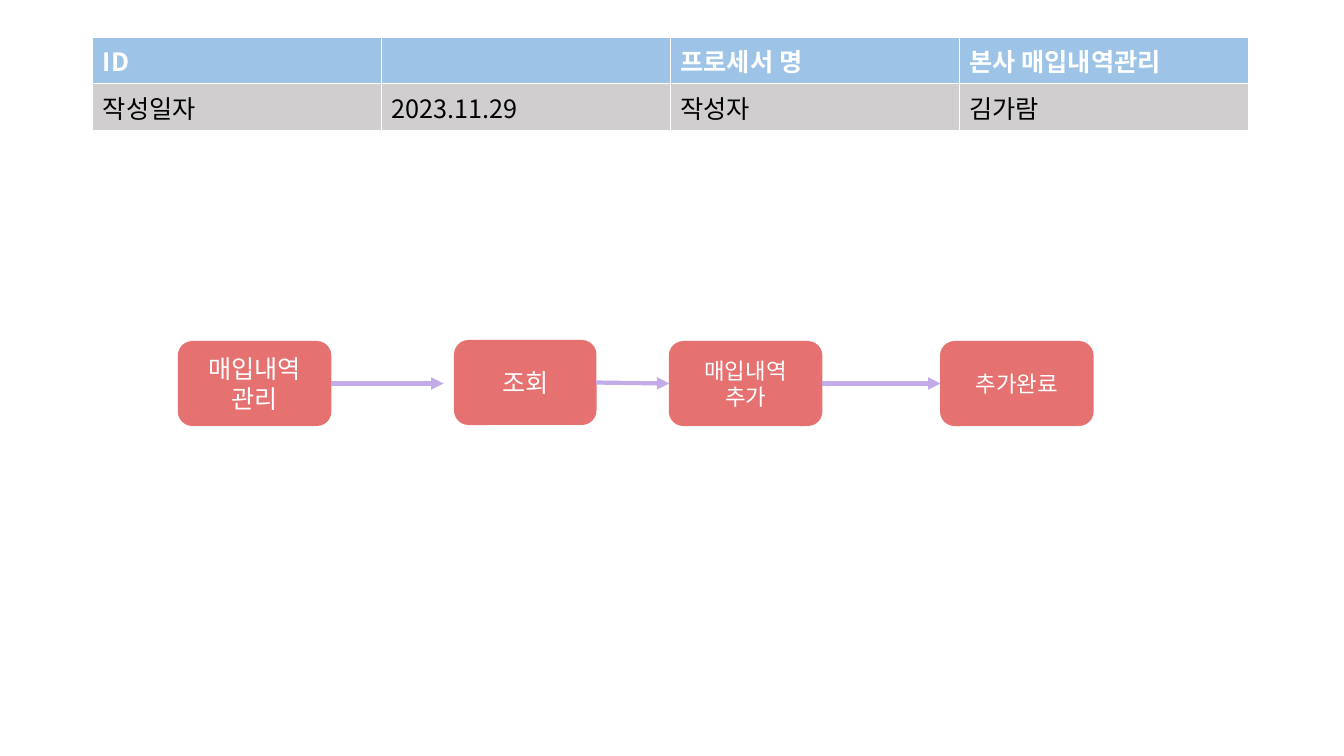
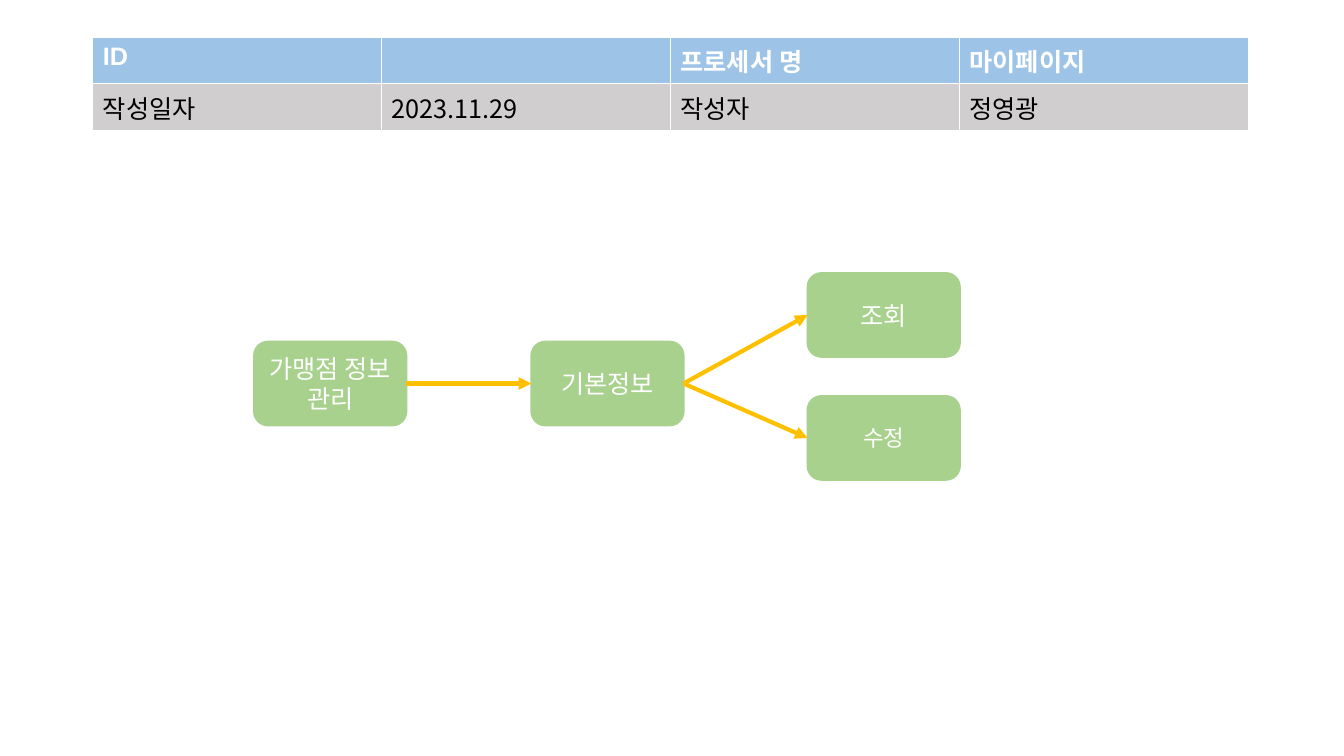
"""Build two process-flow slides, each with a header table and a row of linked steps."""
from lxml import etree
from pptx import Presentation
from pptx.dml.color import RGBColor
from pptx.enum.shapes import MSO_CONNECTOR, MSO_SHAPE
from pptx.enum.text import MSO_ANCHOR, PP_ALIGN
from pptx.oxml.ns import qn
from pptx.util import Inches, Pt

KOREAN, LATIN = "Noto Sans CJK KR", "Arial"
WHITE, BLACK = "FFFFFF", "000000"
TABLE_ROWS = [("9DC3E6", WHITE, True, 0.43), ("D0CECE", BLACK, False, 0.41)]
TABLE_LEFT, TABLE_TOP, TABLE_WIDTH = 0.92, 0.37, 11.46
STEP_WIDTH, STEP_HEIGHT = 1.51, 0.83
LEFT_SITE, RIGHT_SITE = 1, 3

SLIDES = [
    {
        "font": KOREAN, "fill": "E57171", "arrow": "C3AAE8", "outline": 1,
        "table": [["ID", "", "프로세서 명", "본사 매입내역관리"],
                  ["작성일자", "2023.11.29", "작성자", "김가람"]],
        "steps": [("매입내역\n관리", 1.77, 3.39, STEP_WIDTH, 18),
                  ("조회", 4.51, 3.38, 1.4, 18),
                  ("매입내역\n추가", 6.64, 3.39, STEP_WIDTH, 16),
                  ("추가완료", 9.33, 3.39, STEP_WIDTH, 16)],
        "links": [(0, 1, 0.11), (1, 2, 0), (2, 3, 0)],
    },
    {
        "font": LATIN, "fill": "A9D18E", "arrow": "FFC000", "outline": 1.5,
        "table": [["ID", "", "프로세서 명", "마이페이지"],
                  ["작성일자", "2023.11.29", "작성자", "정영광"]],
        "steps": [("가맹점 정보 관리", 2.52, 3.39, STEP_WIDTH, 18),
                  ("기본정보", 5.27, 3.39, STEP_WIDTH, 18),
                  ("조회", 8.01, 2.71, STEP_WIDTH, 18),
                  ("수정", 8.01, 3.93, STEP_WIDTH, 16)],
        "links": [(0, 1, 0), (1, 2, 0), (1, 3, 0)],
    },
]


def color(value):
    return RGBColor.from_string(value)


def format_text(text_frame, font_name, size, text_color, bold=False, align=None):
    for paragraph in text_frame.paragraphs:
        paragraph.alignment = align
        for run in paragraph.runs:
            font = run.font
            font.name, font.size, font.bold = font_name, Pt(size), bold
            font.color.rgb = color(text_color)
            etree.SubElement(font._element, qn("a:ea"), typeface=KOREAN)


def add_header_table(slide, rows, font_name):
    heights = [row[-1] for row in TABLE_ROWS]
    table = slide.shapes.add_table(
        len(rows), len(rows[0]), Inches(TABLE_LEFT), Inches(TABLE_TOP),
        Inches(TABLE_WIDTH), Inches(sum(heights))).table
    for r, (texts, (fill, text_color, bold, height)) in enumerate(zip(rows, TABLE_ROWS)):
        table.rows[r].height = Inches(height)
        for c, text in enumerate(texts):
            cell = table.cell(r, c)
            cell.fill.solid()
            cell.fill.fore_color.rgb = color(fill)
            cell.text_frame.text = text
            cell_font = KOREAN if text[:1].isdigit() else font_name
            format_text(cell.text_frame, cell_font, 18, text_color, bold)


def add_step(slide, step, style):
    text, left, top, width, size = step
    shape = slide.shapes.add_shape(
        MSO_SHAPE.ROUNDED_RECTANGLE, Inches(left), Inches(top),
        Inches(width), Inches(STEP_HEIGHT))
    shape.shadow.inherit = False
    shape.fill.solid()
    shape.fill.fore_color.rgb = color(style["fill"])
    shape.line.color.rgb = color(style["fill"])
    shape.line.width = Pt(style["outline"])
    shape.text_frame.word_wrap = True
    shape.text_frame.vertical_anchor = MSO_ANCHOR.MIDDLE
    shape.text_frame.text = text
    format_text(shape.text_frame, style["font"], size, WHITE, align=PP_ALIGN.CENTER)
    return shape


def add_arrow(slide, source, target, gap, line_color):
    arrow = slide.shapes.add_connector(MSO_CONNECTOR.STRAIGHT, 0, 0, 0, 0)
    arrow.begin_connect(source, RIGHT_SITE)
    if gap:
        arrow.end_x = target.left - Inches(gap)
        arrow.end_y = arrow.begin_y
    else:
        arrow.end_connect(target, LEFT_SITE)
    arrow.line.color.rgb = color(line_color)
    arrow.line.width = Pt(3)
    etree.SubElement(arrow.line._get_or_add_ln(), qn("a:tailEnd"), type="triangle")
    etree.SubElement(arrow._element.spPr, qn("a:effectLst"))


def main():
    presentation = Presentation()
    presentation.slide_width, presentation.slide_height = Inches(13.33), Inches(7.5)
    for content in SLIDES:
        slide = presentation.slides.add_slide(presentation.slide_layouts[6])
        add_header_table(slide, content["table"], content["font"])
        steps = [add_step(slide, step, content) for step in content["steps"]]
        for source, target, gap in content["links"]:
            add_arrow(slide, steps[source], steps[target], gap, content["arrow"])
    presentation.save("out.pptx")


if __name__ == "__main__":
    main()
